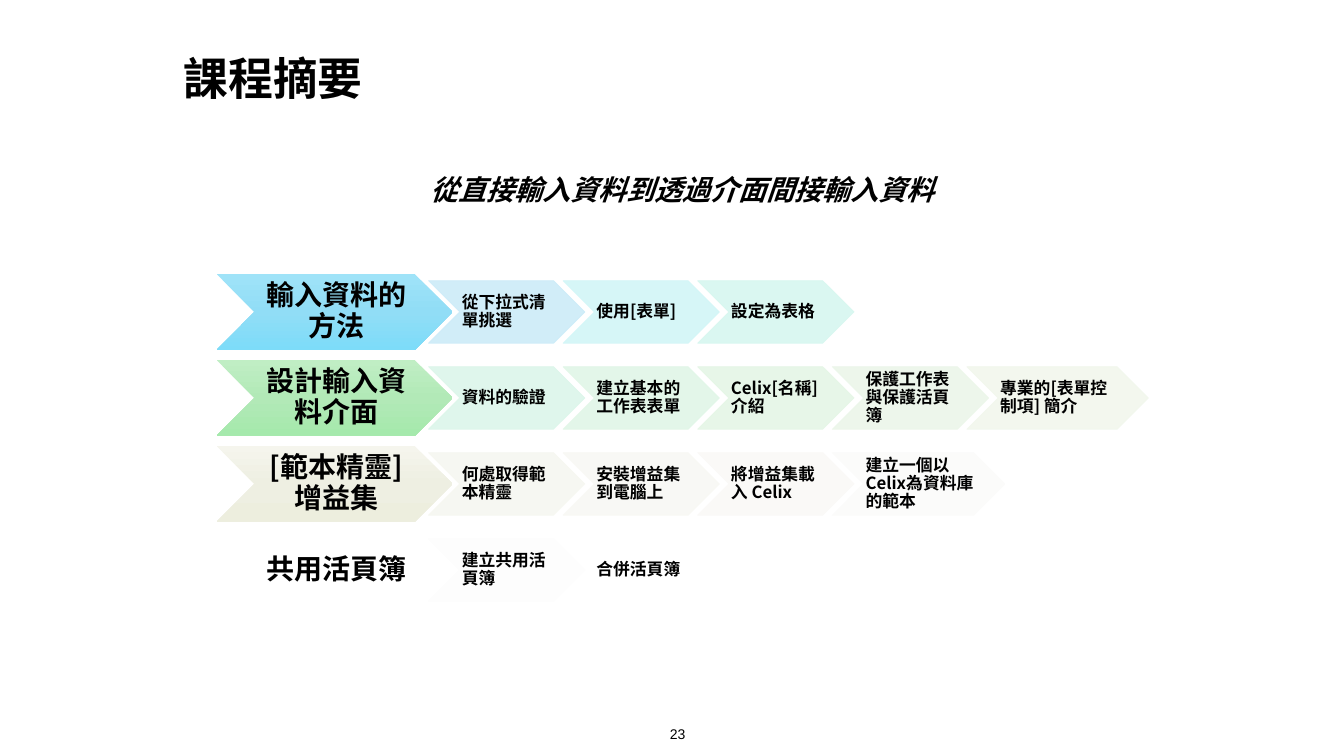
from copy import deepcopy
from dataclasses import dataclass

from lxml import etree
from pptx import Presentation
from pptx import util as u
from pptx.dml.color import RGBColor
from pptx.enum import shapes, text
from pptx.oxml.ns import qn


@dataclass(frozen=True)
class Theme:
    font: str = "Noto Sans CJK SC"
    number_font: str = "Arial"
    ink: str = "000000"
    paper: str = "FFFFFF"
    title: int = 32
    heading: int = 20
    detail: int = 12
    number: int = 10


@dataclass(frozen=True)
class Box:
    left: float
    top: float
    width: float
    height: float

    def inches(self):
        return [u.Inches(n) for n in (self.left, self.top, self.width, self.height)]


THEME = Theme()
PAGE = Box(0, 0, 13.33, 7.5)
ROW_PITCH = 0.853
HEAD = (2.34, 0.75)
STEP = (1.55, 0.62)
STEP_START = 2.1
STEP_PITCH = 1.335

LESSONS = [
    ("輸入資料的方法", ("9FE3F8", "91DDF6", "7DDCF9"), [
        ("從下拉式清單挑選", "CCECF8", STEP[0]),
        ("使用[表單]", "D2F6F7", STEP[0]),
        ("設定為表格", "D7F7F0", STEP[0]),
    ]),
    ("設計輸入資料介面", ("C0EEC4", "B2E9B7", "A5E9AC"), [
        ("資料的驗證", "DCF6EA", STEP[0]),
        ("建立基本的工作表表單", "E1F6E7", STEP[0]),
        ("Celix[名稱]介紹", "E5F6E6", STEP[0]),
        ("保護工作表與保護活頁簿", "ECF6E9", STEP[0]),
        ("專業的[表單控制項] 簡介", "F2F7ED", 1.8),
    ]),
    ("[範本精靈]增益集", ("F5F5ED", "EEEFE2", "EDEEDE"), [
        ("何處取得範本精靈", "F6F7F1", STEP[0]),
        ("安裝增益集到電腦上", "F8F8F4", STEP[0]),
        ("將增益集載入 Celix", "FAF9F7", STEP[0]),
        ("建立一個以Celix為資料庫的範本", "FBFBFA", 1.71),
    ]),
    ("共用活頁簿", (THEME.paper,), [
        ("建立共用活頁簿", "FDFDFD", STEP[0]),
        ("合併活頁簿", THEME.paper, STEP[0]),
    ]),
]


def write(frame, words, size, align, bold=True, italic=False, font=THEME.font):
    frame.word_wrap = True
    para = frame.paragraphs[0]
    para.text = words
    para.alignment = align
    para.font.size = u.Pt(size)
    para.font.bold = bold
    para.font.italic = italic
    para.font.color.rgb = RGBColor.from_string(THEME.ink)
    para.font.name = font
    defaults = para._p.pPr.find(qn("a:defRPr"))
    etree.SubElement(defaults, qn("a:ea")).set("typeface", font)
    return para


def paint_solid(shape, color):
    shape.fill.solid()
    shape.fill.fore_color.rgb = RGBColor.from_string(color)


def paint_gradient(shape, colors):
    shape.fill.gradient()
    shape.fill.gradient_angle = 270
    stop_list = shape._element.spPr.find(".//" + qn("a:gsLst"))
    stop_list.insert(1, deepcopy(stop_list[0]))
    for index, (stop, color) in enumerate(zip(shape.fill.gradient_stops, colors)):
        stop.position = index / (len(colors) - 1)
        stop.color.rgb = RGBColor.from_string(color)


def outline(shape, color, width):
    shape.line.color.rgb = RGBColor.from_string(color)
    shape.line.width = u.Pt(width)


def add_chevron(page, box, words, size, align, inset):
    chevron = page.shapes.add_shape(shapes.MSO_SHAPE.CHEVRON, *box.inches())
    chevron.shadow.inherit = False
    frame = chevron.text_frame
    frame.vertical_anchor = text.MSO_ANCHOR.MIDDLE
    frame.margin_left, frame.margin_right = u.Inches(inset), 0
    frame.margin_top = frame.margin_bottom = u.Inches(0.01)
    write(frame, words, size, align).line_spacing = 0.9
    return chevron


def add_head(page, box, words, colors):
    head = add_chevron(page, box, words, THEME.heading, text.PP_ALIGN.CENTER, 0.03)
    if len(colors) == 1:
        paint_solid(head, colors[0])
    else:
        paint_gradient(head, colors)
    head.line.fill.background()


def add_step(page, box, words, color):
    step = add_chevron(page, box, words, THEME.detail, text.PP_ALIGN.LEFT, 0.02)
    paint_solid(step, color)
    outline(step, color, 0.5)
    for tint in step._element.spPr.iter(qn("a:srgbClr")):
        etree.SubElement(tint, qn("a:alpha")).set("val", "90000")


def add_lessons(page, box):
    for row, (words, colors, steps) in enumerate(LESSONS):
        top = box.top + row * ROW_PITCH
        add_head(page, Box(box.left, top, *HEAD), words, colors)
        step_top = top + (HEAD[1] - STEP[1]) / 2
        for column, (detail, color, width) in enumerate(steps):
            left = box.left + STEP_START + column * STEP_PITCH
            add_step(page, Box(left, step_top, width, STEP[1]), detail, color)


def add_title(page, box):
    title = page.shapes.title
    title.left, title.top, title.width, title.height = box.inches()
    title.text_frame.vertical_anchor = text.MSO_ANCHOR.MIDDLE
    write(title.text_frame, "課程摘要", THEME.title, text.PP_ALIGN.LEFT)


def add_theme_line(page, box):
    banner = page.shapes.add_shape(shapes.MSO_SHAPE.RECTANGLE, *box.inches())
    banner.shadow.inherit = False
    paint_solid(banner, THEME.paper)
    outline(banner, THEME.paper, 1)
    write(banner.text_frame, "從直接輸入資料到透過介面間接輸入資料",
          THEME.heading, text.PP_ALIGN.CENTER, italic=True)


def add_page_number(page, box):
    number = page.shapes.add_textbox(*box.inches())
    write(number.text_frame, "23", THEME.number, text.PP_ALIGN.CENTER,
          bold=False, font=THEME.number_font)


def main():
    deck = Presentation()
    deck.slide_width = u.Inches(PAGE.width)
    deck.slide_height = u.Inches(PAGE.height)
    page = deck.slides.add_slide(deck.slide_layouts[5])
    add_title(page, Box(1.72, 0.5, 10.33, 0.53))
    add_lessons(page, Box(2.15, 2.72, 9.24, 3.31))
    add_page_number(page, Box(6.11, 7.15, 1.22, 0.29))
    add_theme_line(page, Box(3.44, 1.66, 6.66, 0.44))
    deck.save("out.pptx")


if __name__ == "__main__":
    main()
